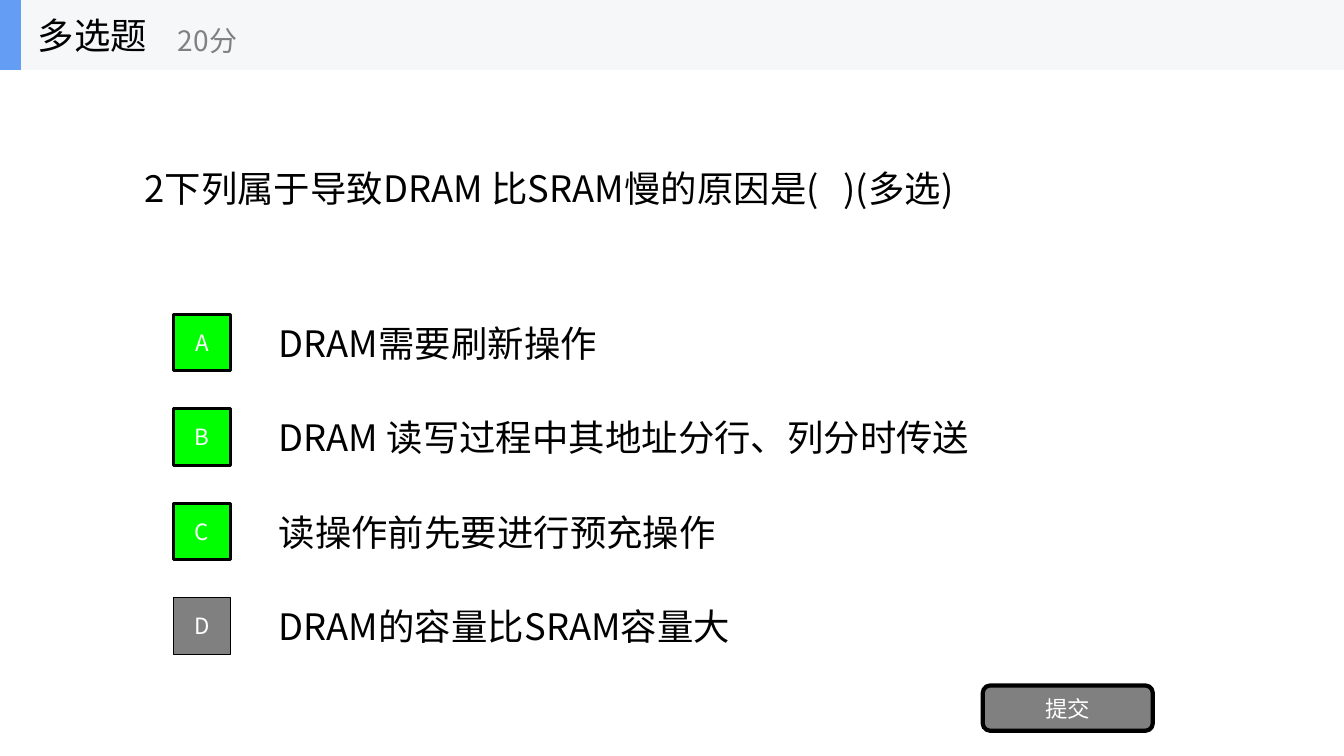
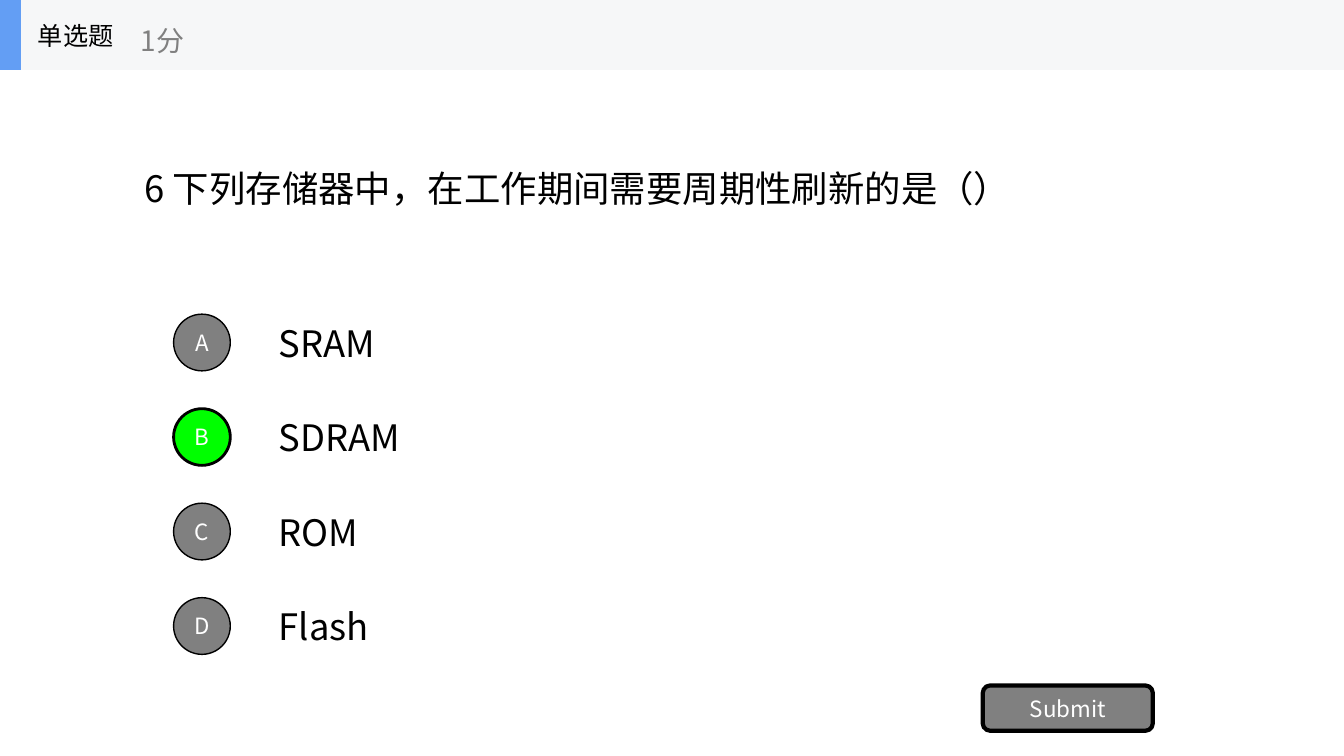
"""Build two quiz slides: one multiple-choice question and one single-choice question."""
from dataclasses import dataclass

from pptx import Presentation
from pptx.dml.color import RGBColor
from pptx.enum.shapes import MSO_SHAPE
from pptx.enum.text import MSO_ANCHOR, MSO_AUTO_SIZE, PP_ALIGN
from pptx.oxml.ns import qn
from pptx.shapes.autoshape import Shape
from pptx.shapes.shapetree import GroupShapes, SlideShapes
from pptx.slide import Slide
from pptx.util import Pt

RECT = MSO_SHAPE.RECTANGLE
OVAL = MSO_SHAPE.OVAL
ROUNDED = MSO_SHAPE.ROUNDED_RECTANGLE
MIDDLE = MSO_ANCHOR.MIDDLE
LEFT, CENTER = PP_ALIGN.LEFT, PP_ALIGN.CENTER
NO_AUTOFIT = MSO_AUTO_SIZE.NONE
TITLE_ONLY = 5


@dataclass(frozen=True)
class Theme:
    """Colours, font and type sizes of the deck."""
    font: str = "Noto Sans CJK SC"
    ink: str = "000000"
    white: str = "FFFFFF"
    grey: str = "808080"
    correct: str = "00FF00"
    band: str = "F6F7F8"
    accent: str = "639EF4"
    body_size: float = 26
    score_size: float = 20
    button_size: float = 16


@dataclass(frozen=True)
class Box:
    """A rectangle in points."""
    left: float
    top: float
    width: float
    height: float


@dataclass(frozen=True)
class Option:
    """One answer, the width of its text box and whether it is correct."""
    text: str
    width: float
    correct: bool = False


@dataclass(frozen=True)
class Quiz:
    """Content and variable layout of one question slide."""
    category: str
    category_size: float
    score: str
    score_left: float
    question: str
    question_box: Box
    badge_shape: MSO_SHAPE
    option_height: float
    options: tuple[Option, ...]
    submit: str


THEME = Theme()
SLIDE_WIDTH, SLIDE_HEIGHT = 960, 540
HEADER_HEIGHT = 50
BADGE_LEFT, BADGE_TOP, BADGE_SIZE = 124, 224.4, 40.5
OPTION_LEFT, OPTION_PITCH = 192, 67.5
SUBMIT_BOX = Box(702, 489.6, 121.5, 32.4)

QUIZZES = (
    Quiz("多选题", 26, "20分", 120, "2下列属于导致DRAM 比SRAM慢的原因是(   )(多选)",
         Box(96, 115.2, 751.7, 38.2), RECT, 38.2,
         (Option("DRAM需要刷新操作", 258.5, True),
          Option("DRAM 读写过程中其地址分行、列分时传送", 526.3, True),
          Option("读操作前先要进行预充操作", 334, True),
          Option("DRAM的容量比SRAM容量大", 360)),
         "提交"),
    Quiz("单选题", 18, "1分", 93.6, "6 下列存储器中，在工作期间需要周期性刷新的是（）",
         Box(96, 50, 768, 168.5), OVAL, 50.4,
         (Option("SRAM", 672), Option("SDRAM", 672, True),
          Option("ROM", 672), Option("Flash", 672)),
         "Submit"),
)


def place(box: Box) -> tuple[Pt, Pt, Pt, Pt]:
    """Convert a box to lengths."""
    return Pt(box.left), Pt(box.top), Pt(box.width), Pt(box.height)


def write(shape: Shape, text: str, size: float, color: str, align: PP_ALIGN = LEFT) -> None:
    """Write one vertically centred line of text into a shape."""
    frame = shape.text_frame
    frame.word_wrap = True
    frame.auto_size = NO_AUTOFIT
    frame.vertical_anchor = MIDDLE
    paragraph = frame.paragraphs[0]
    paragraph.alignment = align
    run = paragraph.add_run()
    run.text = text
    run.font.size = Pt(size)
    run.font.name = THEME.font
    run.font.color.rgb = RGBColor.from_string(color)
    east_asian = run.font._element.makeelement(qn("a:ea"), {"typeface": THEME.font})
    run.font._element.find(qn("a:latin")).addnext(east_asian)


def add_text(shapes: SlideShapes | GroupShapes, box: Box, text: str, size: float, color: str) -> None:
    """Add a left-aligned text box."""
    write(shapes.add_textbox(*place(box)), text, size, color)


def add_block(shapes: SlideShapes | GroupShapes, kind: MSO_SHAPE, box: Box, fill: str,
              outline: float = 0) -> Shape:
    """Add a filled shape, outlined when a line width is given."""
    block = shapes.add_shape(kind, *place(box))
    block.shadow.inherit = False
    block.fill.solid()
    block.fill.fore_color.rgb = RGBColor.from_string(fill)
    if outline:
        block.line.color.rgb = RGBColor.from_string(THEME.ink)
        block.line.width = Pt(outline)
    else:
        block.line.fill.background()
    return block


def add_button(slide: Slide, kind: MSO_SHAPE, box: Box, fill: str, outline: float, text: str) -> None:
    """Add an outlined shape with a centred white caption."""
    button = add_block(slide.shapes, kind, box, fill, outline)
    frame = button.text_frame
    frame.margin_left = frame.margin_right = frame.margin_top = frame.margin_bottom = 0
    write(button, text, THEME.button_size, THEME.white, CENTER)


def add_option(slide: Slide, quiz: Quiz, index: int, option: Option) -> None:
    """Add the text and the lettered badge of one answer."""
    badge_top = BADGE_TOP + index * OPTION_PITCH
    text_top = badge_top + (BADGE_SIZE - quiz.option_height) / 2
    add_text(slide.shapes, Box(OPTION_LEFT, text_top, option.width, quiz.option_height),
             option.text, THEME.body_size, THEME.ink)
    fill, outline = (THEME.correct, 2) if option.correct else (THEME.grey, 1)
    add_button(slide, quiz.badge_shape, Box(BADGE_LEFT, badge_top, BADGE_SIZE, BADGE_SIZE),
               fill, outline, "ABCD"[index])


def add_header(slide: Slide, quiz: Quiz) -> None:
    """Add the grouped header band with question category and score."""
    header = slide.shapes.add_group_shape().shapes
    add_block(header, RECT, Box(0, 0, SLIDE_WIDTH, HEADER_HEIGHT), THEME.band)
    add_block(header, RECT, Box(0, 0, 15, HEADER_HEIGHT), THEME.accent)
    add_text(header, Box(20, 0, 150, HEADER_HEIGHT), quiz.category, quiz.category_size, THEME.ink)
    add_text(header, Box(quiz.score_left, 8.8, 180, 40), quiz.score, THEME.score_size, THEME.grey)


def add_quiz(presentation: Presentation, quiz: Quiz) -> None:
    """Add one complete question slide."""
    slide = presentation.slides.add_slide(presentation.slide_layouts[TITLE_ONLY])
    question = slide.shapes.title
    question.left, question.top, question.width, question.height = place(quiz.question_box)
    write(question, quiz.question, THEME.body_size, THEME.ink)
    for index, option in enumerate(quiz.options):
        add_option(slide, quiz, index, option)
    add_button(slide, ROUNDED, SUBMIT_BOX, THEME.grey, 3, quiz.submit)
    add_header(slide, quiz)


def main() -> None:
    """Build and save the deck."""
    presentation = Presentation()
    presentation.slide_width, presentation.slide_height = Pt(SLIDE_WIDTH), Pt(SLIDE_HEIGHT)
    for quiz in QUIZZES:
        add_quiz(presentation, quiz)
    presentation.save("out.pptx")


if __name__ == "__main__":
    main()
